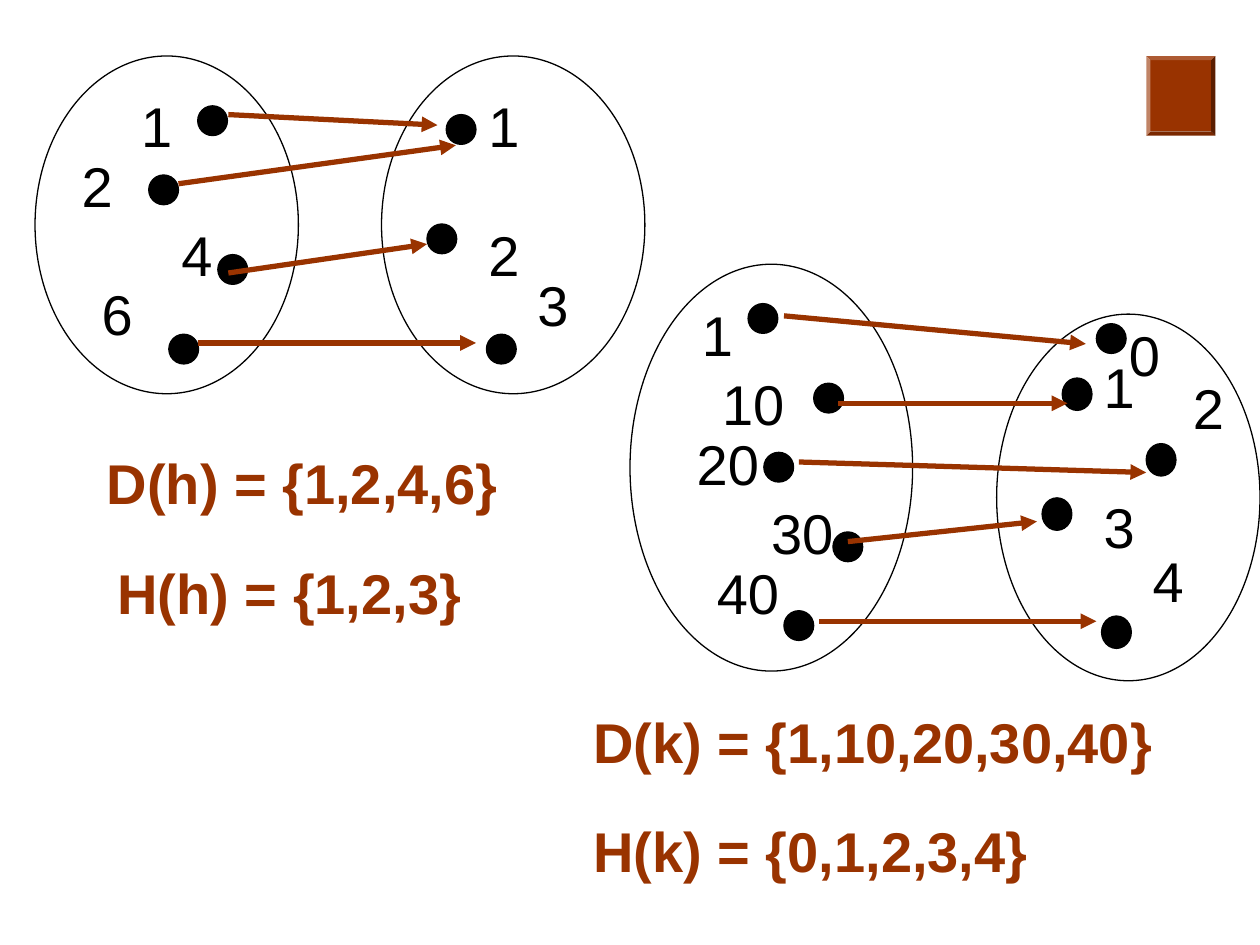
from pptx import Presentation
from pptx.dml.color import RGBColor
from pptx.enum.shapes import MSO_CONNECTOR, MSO_SHAPE
from pptx.enum.text import MSO_AUTO_SIZE
from pptx.oxml.ns import qn
from pptx.util import Pt
from lxml.etree import SubElement

COLORS = {"ink": "000000", "accent": "993300"}
DOT = 17
TALL_DOT = 18.5
DIGIT_WIDTH = 45.5
TEXT_HEIGHT = 46

# Ovals: left, top, width, height. Dots: left, top, height.
# Labels: text, left, top, width.
SETS = [
    {"oval": (20, 32, 150.5, 193),
     "dots": [(113, 60.5, DOT), (85, 100, DOT), (124.5, 145.5, DOT), (96.5, 191, DOT)],
     "labels": [("1", 73.5, 49, DIGIT_WIDTH), ("2", 39.5, 83, DIGIT_WIDTH),
                ("4", 96.5, 122.5, DIGIT_WIDTH), ("6", 51, 156, DIGIT_WIDTH)]},
    {"oval": (218, 32, 150.5, 193),
     "dots": [(255, 65.5, DOT), (244, 128, DOT), (278, 191, DOT)],
     "labels": [("1", 272, 49, DIGIT_WIDTH), ("2", 272, 122.5, DIGIT_WIDTH),
                ("3", 300, 151, DIGIT_WIDTH)]},
    {"oval": (360, 151, 161.5, 232.5),
     "dots": [(427.5, 173.5, DOT), (465, 219, DOT), (436.5, 258.5, DOT),
              (476, 304, DOT), (448, 349, DOT)],
     "labels": [("1", 394, 168, 82), ("10", 405.5, 207.5, 82), ("20", 391, 242, 76.5),
                ("30", 433.5, 281.5, 60), ("40", 402.5, 315.5, 65.5)]},
    {"oval": (569.5, 179.5, 150.5, 209.5),
     "dots": [(626.5, 185, DOT), (607, 216, TALL_DOT), (655, 253.5, TALL_DOT),
              (595.5, 284.5, TALL_DOT), (629.5, 352, TALL_DOT)],
     "labels": [("0", 638, 179.5, 82), ("1", 623.5, 198, DIGIT_WIDTH),
                ("2", 674.5, 210, DIGIT_WIDTH), ("3", 623.5, 278, DIGIT_WIDTH),
                ("4", 651.5, 309, DIGIT_WIDTH)]},
]
# Arrows: start x, start y, end x, end y
ARROWS = [
    (130.5, 65.5, 250, 71.5),
    (102, 105, 260.5, 83),
    (130.5, 156, 244, 139.5),
    (113, 196, 272, 196),
    (448, 180.5, 620.5, 196.5),
    (479, 230.5, 610, 230.5),
    (456.5, 264, 655, 270),
    (484.5, 309.5, 592.5, 298),
    (468, 355, 626.5, 355),
]
FORMULAS = [
    ("D(h) = {1,2,4,6}", 54, 253, 238.5),
    ("H(h) = {1,2,3}", 60, 315.5, 238.5),
    ("D(k) = {1,10,20,30,40}", 332, 400.5, 368.5),
    ("H(k) = {0,1,2,3,4}", 332, 463, 368.5),
]
BUTTON = (655, 32, 39.5, 45.5)


def color(name):
    return RGBColor.from_string(COLORS[name])


def add_filled(slide, kind, box, fill=None, line=None):
    shape = slide.shapes.add_shape(kind, *map(Pt, box))
    shape.shadow.inherit = False
    if fill:
        shape.fill.solid()
        shape.fill.fore_color.rgb = color(fill)
    else:
        shape.fill.background()
    if line:
        shape.line.color.rgb = color(line)
        shape.line.width = Pt(0.75)
    else:
        shape.line.fill.background()
    return shape


def add_text(slide, text, left, top, width, color_name="ink", bold=False):
    box = slide.shapes.add_textbox(Pt(left), Pt(top), Pt(width), Pt(TEXT_HEIGHT))
    frame = box.text_frame
    frame.word_wrap = True
    frame.auto_size = MSO_AUTO_SIZE.SHAPE_TO_FIT_TEXT
    paragraph = frame.paragraphs[0]
    paragraph.text = text
    font = paragraph.font
    font.name, font.size, font.bold = "Arial", Pt(32), bold
    font.color.rgb = color(color_name)


def add_arrow(slide, ends):
    arrow = slide.shapes.add_connector(MSO_CONNECTOR.STRAIGHT, *map(Pt, ends))
    arrow.line.color.rgb = color("accent")
    arrow.line.width = Pt(3)
    SubElement(arrow.line._get_or_add_ln(), qn("a:tailEnd"), type="triangle")
    SubElement(arrow._element.spPr, qn("a:effectLst"))


def main():
    presentation = Presentation()
    presentation.slide_width, presentation.slide_height = Pt(720), Pt(540)
    slide = presentation.slides.add_slide(presentation.slide_layouts[6])

    for number_set in SETS:
        add_filled(slide, MSO_SHAPE.OVAL, number_set["oval"], line="ink")
        for left, top, height in number_set["dots"]:
            add_filled(slide, MSO_SHAPE.OVAL, (left, top, DOT, height), "ink", "ink")
        for label in number_set["labels"]:
            add_text(slide, *label)
    for ends in ARROWS:
        add_arrow(slide, ends)
    button = add_filled(slide, MSO_SHAPE.BEVEL, BUTTON, "accent")
    button.adjustments[0] = 0.06
    for formula in FORMULAS:
        add_text(slide, *formula, color_name="accent", bold=True)

    presentation.save("out.pptx")


if __name__ == "__main__":
    main()
